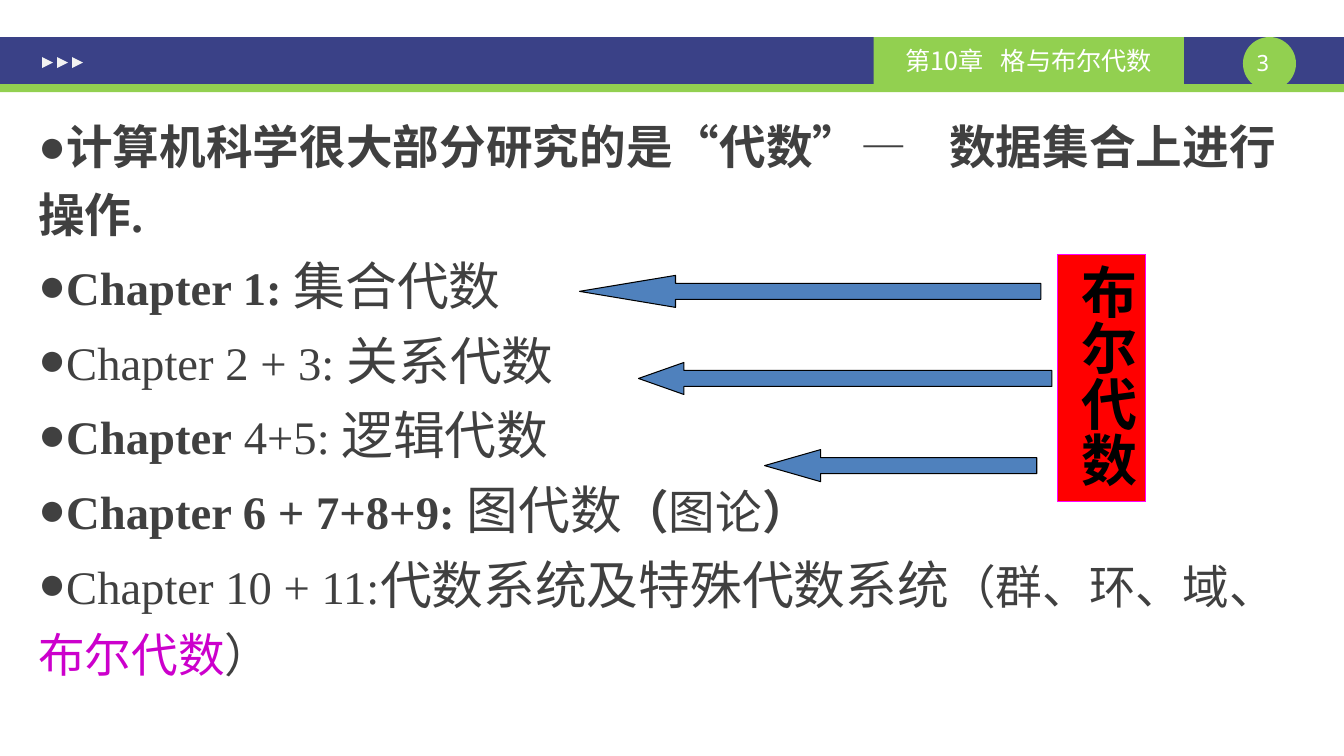
from dataclasses import dataclass

from lxml import etree
from pptx import Presentation
from pptx.dml.color import RGBColor
from pptx.enum.shapes import MSO_SHAPE
from pptx.enum.text import MSO_ANCHOR, MSO_AUTO_SIZE, PP_ALIGN
from pptx.oxml.ns import qn
from pptx.util import Emu, Pt

RECTANGLE, OVAL = MSO_SHAPE.RECTANGLE, MSO_SHAPE.OVAL
TRIANGLE, LEFT_ARROW = MSO_SHAPE.ISOSCELES_TRIANGLE, MSO_SHAPE.LEFT_ARROW
TOP, MIDDLE = MSO_ANCHOR.TOP, MSO_ANCHOR.MIDDLE
LEFT, CENTER = PP_ALIGN.LEFT, PP_ALIGN.CENTER
NO_AUTOFIT = MSO_AUTO_SIZE.NONE
TITLE_AND_CONTENT = 1
EMU_PER_PX = 9080


@dataclass(frozen=True)
class Theme:
    navy: str = "3A4187"
    green: str = "92D050"
    white: str = "FFFFFF"
    pale: str = "F2F2F2"
    ink: str = "404040"
    black: str = "000000"
    purple: str = "CC00CC"
    red: str = "FF0000"
    magenta: str = "FF00FF"
    blue: str = "4F81BD"
    serif: str = "Times New Roman"
    sans: str = "Noto Sans CJK SC"
    topic_font: str = "Noto Sans CJK JP"
    mono: str = "Noto Sans Mono"
    number_size: float = 16
    header_size: float = 18
    body_size: float = 33.3
    topic_size: float = 37
    label_size: float = 40


THEME = Theme()
PLAIN = {"name": THEME.serif, "size": THEME.body_size, "color": THEME.ink, "bold": False}
BOLD = PLAIN | {"bold": True}
TOPIC = PLAIN | {"name": THEME.topic_font, "size": THEME.topic_size}
DETAIL = PLAIN | {"name": THEME.topic_font}
ACCENT = DETAIL | {"color": THEME.purple}

BULLETS = [
    [("计算机科学很大部分研究的是“代数”", BOLD), ("—", PLAIN),
     ("    数据集合上进行操作.", BOLD)],
    [("Chapter 1: ", BOLD), ("集合代数", TOPIC)],
    [("Chapter 2 + 3: ", PLAIN), ("关系代数", TOPIC)],
    [("Chapter", BOLD), (" 4+5: ", PLAIN), ("逻辑代数", TOPIC)],
    [("Chapter 6 + 7+8+9: ", BOLD), ("图代数", TOPIC), ("（", BOLD),
     ("图论", DETAIL), ("）", BOLD)],
    [("Chapter 10 + 11:", PLAIN), ("代数系统及特殊代数系统", TOPIC), ("（", PLAIN),
     ("群、环、域、", DETAIL), ("布尔代数", ACCENT), ("）", PLAIN)],
]
# Each arrow: left, top, width, head length relative to its height
ARROWS = [(579, 275, 461, 3.0), (638, 362, 413, 1.42), (764, 449, 272, 1.75)]
ARROW_HEIGHT = 32


def px(length):
    return Emu(round(length * EMU_PER_PX))


def place(shape, box):
    for name, length in zip(("left", "top", "width", "height"), box):
        setattr(shape, name, px(length))


def paint(shape, fill, line=None):
    shape.fill.solid()
    shape.fill.fore_color.rgb = RGBColor.from_string(fill)
    if line:
        shape.line.color.rgb = RGBColor.from_string(line)
        shape.line.width = Pt(0.75)
    else:
        shape.line.fill.background()


def add_block(slide, kind, box, fill, line=None):
    shape = slide.shapes.add_shape(kind, *map(px, box))
    shape.shadow.inherit = False
    paint(shape, fill, line)
    return shape


def add_run(paragraph, text, style):
    run = paragraph.add_run()
    run.text = text
    for name in ("name", "bold"):
        setattr(run.font, name, style[name])
    run.font.size = Pt(style["size"])
    run.font.color.rgb = RGBColor.from_string(style["color"])
    east_asian = THEME.sans if style["name"] == THEME.serif else style["name"]
    etree.SubElement(run.font.fill._xPr, qn("a:ea"), typeface=east_asian)


def set_frame(text_frame, anchor, margins=(0, 0)):
    horizontal, vertical = margins
    settings = {
        "word_wrap": True, "auto_size": NO_AUTOFIT, "vertical_anchor": anchor,
        "margin_left": px(horizontal), "margin_right": px(horizontal),
        "margin_top": px(vertical), "margin_bottom": px(vertical),
    }
    for name, value in settings.items():
        setattr(text_frame, name, value)


def format_paragraph(paragraph, alignment, line_spacing=1.0):
    settings = {"alignment": alignment, "line_spacing": line_spacing,
                "space_before": Pt(0), "space_after": Pt(0)}
    for name, value in settings.items():
        setattr(paragraph, name, value)


def add_bullet(paragraph):
    properties = paragraph._p.get_or_add_pPr()
    properties.set("marL", "0")
    properties.set("indent", "0")
    etree.SubElement(properties, qn("a:buSzPct"), val="100000")
    etree.SubElement(properties, qn("a:buChar"), char="●")


def build_header(slide, box):
    left, top, width, height = box
    add_block(slide, RECTANGLE, box, THEME.navy)
    add_block(slide, RECTANGLE, (left, top + height, width, 8), THEME.green)
    for index in range(3):
        marker = add_block(slide, TRIANGLE,
                           (left + 42 + 15 * index, top + 20, 11, 11), THEME.pale)
        marker.rotation = 90

    badge = (left + 1242, top, 53, 53)
    add_block(slide, OVAL, badge, THEME.green)
    number = slide.shapes.add_textbox(*map(px, (badge[0], top + 12, badge[2], 27)))
    set_frame(number.text_frame, TOP)
    paragraph = number.text_frame.paragraphs[0]
    format_paragraph(paragraph, CENTER)
    add_run(paragraph, "3 ", {"name": THEME.mono, "size": THEME.number_size,
                              "color": THEME.white, "bold": False})

    title = slide.shapes.title
    place(title, (left + 873, top, 310, height))
    paint(title, THEME.green)
    set_frame(title.text_frame, MIDDLE, (10, 5))
    paragraph = title.text_frame.paragraphs[0]
    format_paragraph(paragraph, CENTER)
    add_run(paragraph, "第10章   格与布尔代数",
            {"name": THEME.sans, "size": THEME.header_size,
             "color": THEME.white, "bold": False})
    title.element.getparent().append(title.element)  # bring in front of the bar


def build_chapter_list(slide, box):
    body = slide.placeholders[1]
    place(body, box)
    text_frame = body.text_frame
    set_frame(text_frame, TOP, (13, 7))
    for index, runs in enumerate(BULLETS):
        paragraph = text_frame.add_paragraph() if index else text_frame.paragraphs[0]
        add_bullet(paragraph)
        format_paragraph(paragraph, LEFT, line_spacing=1.2)
        for text, style in runs:
            add_run(paragraph, text, style)


def build_vertical_label(slide, box):
    label = add_block(slide, RECTANGLE, box, THEME.red, THEME.magenta)
    set_frame(label.text_frame, TOP, (5, 10))
    label.element.find(".//" + qn("a:bodyPr")).set("vert", "eaVert")
    paragraph = label.text_frame.paragraphs[0]
    format_paragraph(paragraph, LEFT)
    add_run(paragraph, "布尔代数", {"name": THEME.sans, "size": THEME.label_size,
                                "color": THEME.black, "bold": True})


def build_arrows(slide):
    for left, top, width, head in ARROWS:
        arrow = add_block(slide, LEFT_ARROW, (left, top, width, ARROW_HEIGHT),
                          THEME.blue, THEME.black)
        arrow.adjustments[0] = 0.5
        arrow.adjustments[1] = head


def main():
    presentation = Presentation()
    presentation.slide_width, presentation.slide_height = px(1343), px(755)
    slide = presentation.slides.add_slide(presentation.slide_layouts[TITLE_AND_CONTENT])
    build_header(slide, (0, 37, 1343, 47))
    build_chapter_list(slide, (25, 100, 1292, 644))
    build_vertical_label(slide, (1057, 254, 88, 247))
    build_arrows(slide)
    presentation.save("out.pptx")


if __name__ == "__main__":
    main()
